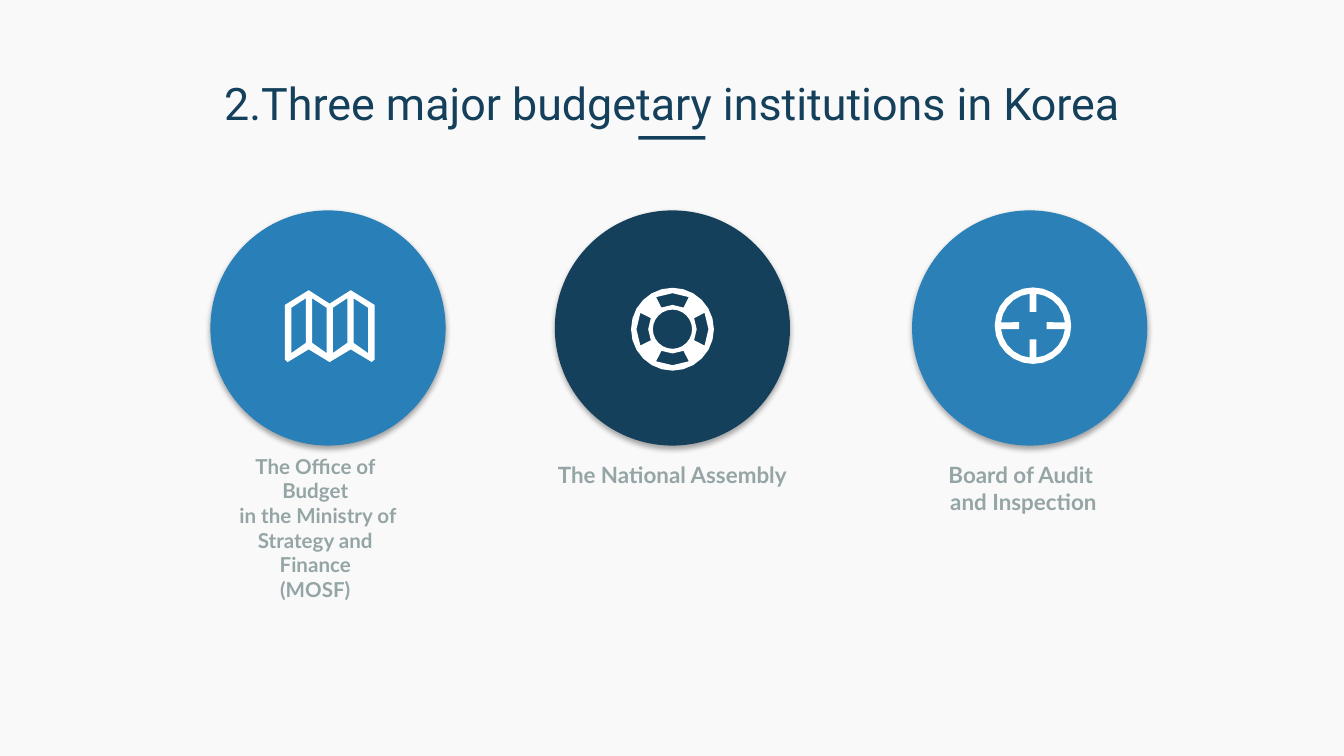
from math import cos, radians, sin

from lxml.etree import SubElement
from pptx import Presentation
from pptx.dml.color import RGBColor
from pptx.enum.shapes import MSO_SHAPE as Shape
from pptx.enum.text import MSO_AUTO_SIZE as AutoSize, PP_ALIGN as Align
from pptx.oxml.ns import qn
from pptx.util import Pt

BACKGROUND = RGBColor(0xF9, 0xF9, 0xF9)
BLUE = RGBColor(0x29, 0x80, 0xB9)
SOFT_BLUE = RGBColor(0x2A, 0x80, 0xB7)
NAVY = RGBColor(0x15, 0x40, 0x5B)
TITLE_NAVY = RGBColor(0x14, 0x40, 0x5C)
GRAY = RGBColor(0x95, 0xA5, 0xA6)
WHITE = RGBColor(0xFF, 0xFF, 0xFF)


def arc(center, radius, start, end, step=15):
    """Return points along an arc; angles in degrees, clockwise from the right."""
    count = max(1, round(abs(end - start) / step))
    angles = [radians(start + (end - start) * i / count) for i in range(count + 1)]
    return [(center[0] + radius * cos(a), center[1] + radius * sin(a)) for a in angles]


deck = Presentation()
deck.slide_width, deck.slide_height = Pt(720), Pt(405)
slide = deck.slides.add_slide(deck.slide_layouts[6])
slide.background.fill.solid()
slide.background.fill.fore_color.rgb = BACKGROUND

# Circles with a soft shadow
for left, color in [(112.7, BLUE), (297.2, NAVY), (488.6, SOFT_BLUE)]:
    circle = slide.shapes.add_shape(Shape.OVAL, Pt(left), Pt(112.7), Pt(126), Pt(126))
    circle.fill.solid()
    circle.fill.fore_color.rgb = color
    circle.line.fill.background()
    circle.shadow.inherit = False
    effects = circle._element.spPr.find(qn("a:effectLst"))
    shadow = SubElement(effects, qn("a:outerShdw"), blurRad=str(Pt(3.1)),
                        dist=str(Pt(1.8)), dir="5400000", algn="t", rotWithShape="0")
    shade = SubElement(shadow, qn("a:srgbClr"), val="000000")
    SubElement(shade, qn("a:alpha"), val="35000")

# Folded map: zigzag outline with four slanted panels cut out
map_icon = [[(152.6, 163.4), (165.4, 155.5), (176.6, 162.7), (187.9, 155.5),
             (200.7, 163.4), (200.7, 192.6), (199.2, 194), (187.9, 187.2),
             (176.6, 194), (165.4, 187.2), (154.1, 194), (152.6, 192.6)]]
for i in range(4):
    left = 156.1 + 11.1 * i
    outer, inner = (left, left + 7.8) if i % 2 == 0 else (left + 7.8, left)
    map_icon.append([(outer, 164.9), (inner, 159.8), (inner, 183.7), (outer, 189.2)])

# Lifebuoy: ring with four curved windows; full circles close by themselves
buoy = (360.3, 176.4)
buoy_icon = [arc(buoy, 22.2, 0, 345), arc(buoy, 10.5, 0, 345)]
for axis in range(0, 360, 90):
    buoy_icon.append(arc(buoy, 19.3, axis - 27, axis + 27, step=27)
                     + arc(buoy, 13, axis + 27, axis - 27, step=27))

# Crosshair: ring whose inner edge carries four ticks
target = (553.4, 174.5)
inner_edge = []
for axis in range(0, 360, 90):
    inner_edge += arc(target, 7.6, axis - 14, axis + 14, step=28)
    inner_edge += arc(target, 17.2, axis + 6, axis + 84)
target_icon = [arc(target, 20.5, 0, 345), inner_edge]

for contours in (map_icon, target_icon, buoy_icon):
    builder = None
    for contour in contours:
        points = [(Pt(x), Pt(y)) for x, y in contour]
        if builder is None:
            builder = slide.shapes.build_freeform(*points[0])
        else:
            builder.move_to(*points[0])
        builder.add_line_segments(points[1:], close=True)
    icon = builder.convert_to_shape()
    icon.fill.solid()
    icon.fill.fore_color.rgb = WHITE
    icon.line.fill.background()
    icon.shadow.inherit = False

underline = slide.shapes.add_shape(Shape.RECTANGLE, Pt(342), Pt(73), Pt(36), Pt(1.8))
underline.fill.solid()
underline.fill.fore_color.rgb = NAVY
underline.line.fill.background()
underline.shadow.inherit = False

# Title and captions
TITLE_FONT = {"name": "Roboto", "size": Pt(24)}
CAPTION_FONT = {"name": "Lato", "size": Pt(12), "bold": True}
SMALL_FONT = CAPTION_FONT | {"size": Pt(11)}
TITLE_INSETS, CAPTION_INSETS = (7.2, 3.6), (5.4, 2.7)
texts = [
    ((36, 37, 648, 36), TITLE_FONT, TITLE_NAVY, TITLE_INSETS, True,
     ["2.Three major budgetary institutions in Korea"]),
    ((115.6, 240.3, 106.6, 85.7), SMALL_FONT, GRAY, CAPTION_INSETS, True,
     ["The Office of Budget", " in the Ministry of Strategy and Finance", "(MOSF)"]),
    ((288.2, 244.4, 144, 20), CAPTION_FONT, GRAY, CAPTION_INSETS, False,
     ["The National Assembly"]),
    ((479.8, 244.4, 137, 34.6), CAPTION_FONT, GRAY, CAPTION_INSETS, True,
     ["Board of Audit ", "and Inspection"]),
]
for bounds, font, color, (side, edge), wrap, lines in texts:
    frame = slide.shapes.add_textbox(*map(Pt, bounds)).text_frame
    frame.word_wrap = wrap
    frame.auto_size = AutoSize.SHAPE_TO_FIT_TEXT
    frame.margin_left = frame.margin_right = Pt(side)
    frame.margin_top = frame.margin_bottom = Pt(edge)
    frame.text = "\n".join(lines)
    for para in frame.paragraphs:
        para.alignment = Align.CENTER
        span = para.runs[0]
        span.font.color.rgb = color
        for name, value in font.items():
            setattr(span.font, name, value)

deck.save("out.pptx")
